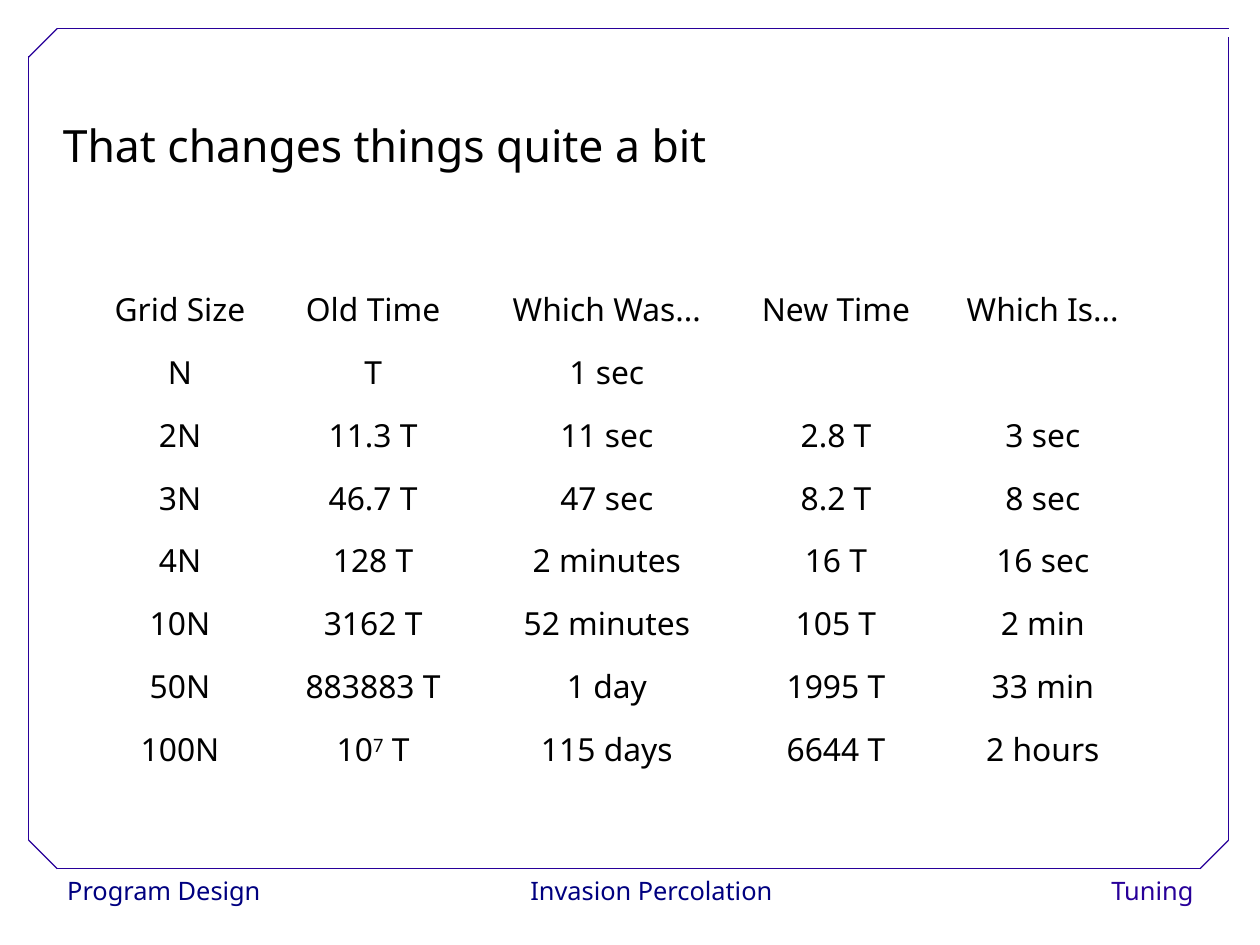
from dataclasses import dataclass

from lxml.etree import SubElement
from pptx import Presentation
from pptx.dml.color import RGBColor as Rgb
from pptx.enum.shapes import MSO_CONNECTOR as Connector, MSO_SHAPE as Shape
from pptx.enum.text import MSO_ANCHOR as Anchor, MSO_AUTO_SIZE as AutoSize, PP_ALIGN as Align
from pptx.oxml.ns import qn
from pptx.util import Emu, Pt

PX = 9144  # EMU per px, 100 px to the inch
PAGE_SIZE = Emu(10080625), Emu(7559675)  # 28 by 21 cm


@dataclass(frozen=True)
class Theme:
    font: str = "Noto Sans"
    ink: Rgb = Rgb(0x00, 0x00, 0x00)
    paper: Rgb = Rgb(0xFF, 0xFF, 0xFF)
    navy: Rgb = Rgb(0x00, 0x00, 0x80)
    violet: Rgb = Rgb(0x28, 0x00, 0x99)
    title_size: int = 28
    table_size: int = 20
    footer_size: int = 16
    frame_width: float = 0.75


THEME = Theme()

FOOTERS = [
    ("Program Design", 49, 180, Align.LEFT, THEME.navy),
    ("Invasion Percolation", 458, 224, Align.CENTER, THEME.navy),
    ("Tuning", 914, 140, Align.RIGHT, THEME.violet),
]

FRAME_LINES = [
    (50, 760, 1050, 760),
    (25, 735, 25, 49),
    (50, 25, 1075, 25),
    (1075, 735, 1075, 32),
    (25, 50, 50, 25),
    (1050, 760, 1075, 735),
    (25, 735, 50, 760),
]

COLUMN_WIDTHS = [157, 181, 228, 173, 189]
ROW_HEIGHT = 55
TIMINGS = [
    ("Grid Size", "Old Time", "Which Was...", "New Time", "Which Is..."),
    ("N", "T", "1 sec", "", ""),
    ("2N", "11.3 T", "11 sec", "2.8 T", "3 sec"),
    ("3N", "46.7 T", "47 sec", "8.2 T", "8 sec"),
    ("4N", "128 T", "2 minutes", "16 T", "16 sec"),
    ("10N", "3162 T", "52 minutes", "105 T", "2 min"),
    ("50N", "883883 T", "1 day", "1995 T", "33 min"),
    ("100N", "10^7^ T", "115 days", "6644 T", "2 hours"),
]


def px(*lengths):
    return [length * PX for length in lengths]


def write(para, text, size, color, align, spacing):
    """Fill a paragraph; text between two carets is superscript."""
    para.alignment = align
    para.line_spacing = spacing
    for index, part in enumerate(text.split("^")):
        span = para.add_run()
        span.text = part
        span.font.name = THEME.font
        span.font.size = Pt(size)
        span.font.color.rgb = color
        if index % 2:
            span._r.get_or_add_rPr().set("baseline", "30000")


def add_footer(page, text, left, width, align, color):
    box = page.shapes.add_shape(Shape.RECTANGLE, *px(left, 760, width, 40))
    box.shadow.inherit = False
    box.fill.solid()
    box.fill.fore_color.rgb = THEME.paper
    box.line.fill.background()
    frame = box.text_frame
    frame.word_wrap = False
    frame.vertical_anchor = Anchor.TOP
    write(frame.paragraphs[0], text, THEME.footer_size, color, align, 1.02)


def add_frame_line(page, *ends):
    line = page.shapes.add_connector(Connector.STRAIGHT, *px(*ends))
    line.line.color.rgb = THEME.violet
    line.line.width = Pt(THEME.frame_width)
    SubElement(line._element.spPr, qn("a:effectLst"))


def set_title(page, text):
    title = page.shapes.title
    title.left, title.top, title.width, title.height = px(45, 75, 682, 80)
    frame = title.text_frame
    frame.word_wrap = True
    frame.auto_size = AutoSize.NONE
    frame.vertical_anchor = Anchor.MIDDLE
    write(frame.paragraphs[0], text, THEME.title_size, THEME.ink, Align.LEFT, 1.5)


def add_timing_table(page):
    size = px(sum(COLUMN_WIDTHS), ROW_HEIGHT * len(TIMINGS))
    table = page.shapes.add_table(
        len(TIMINGS), len(COLUMN_WIDTHS), *px(79, 248), *size).table
    table.first_row = table.horz_banding = False
    for column, width in zip(table.columns, COLUMN_WIDTHS):
        column.width = width * PX
    for row, values in zip(table.rows, TIMINGS):
        row.height = ROW_HEIGHT * PX
        for cell, value in zip(row.cells, values):
            cell.fill.background()
            if value:
                para = cell.text_frame.paragraphs[0]
                para.space_after = Pt(14.2)
                write(para, value, THEME.table_size, THEME.ink, Align.CENTER, 0.93)


def main():
    deck = Presentation()
    deck.slide_width, deck.slide_height = PAGE_SIZE
    page = deck.slides.add_slide(deck.slide_layouts.get_by_name("Title Only"))
    for footer in FOOTERS:
        add_footer(page, *footer)
    for ends in FRAME_LINES:
        add_frame_line(page, *ends)
    set_title(page, "That changes things quite a bit")
    add_timing_table(page)
    deck.save("out.pptx")


if __name__ == "__main__":
    main()
